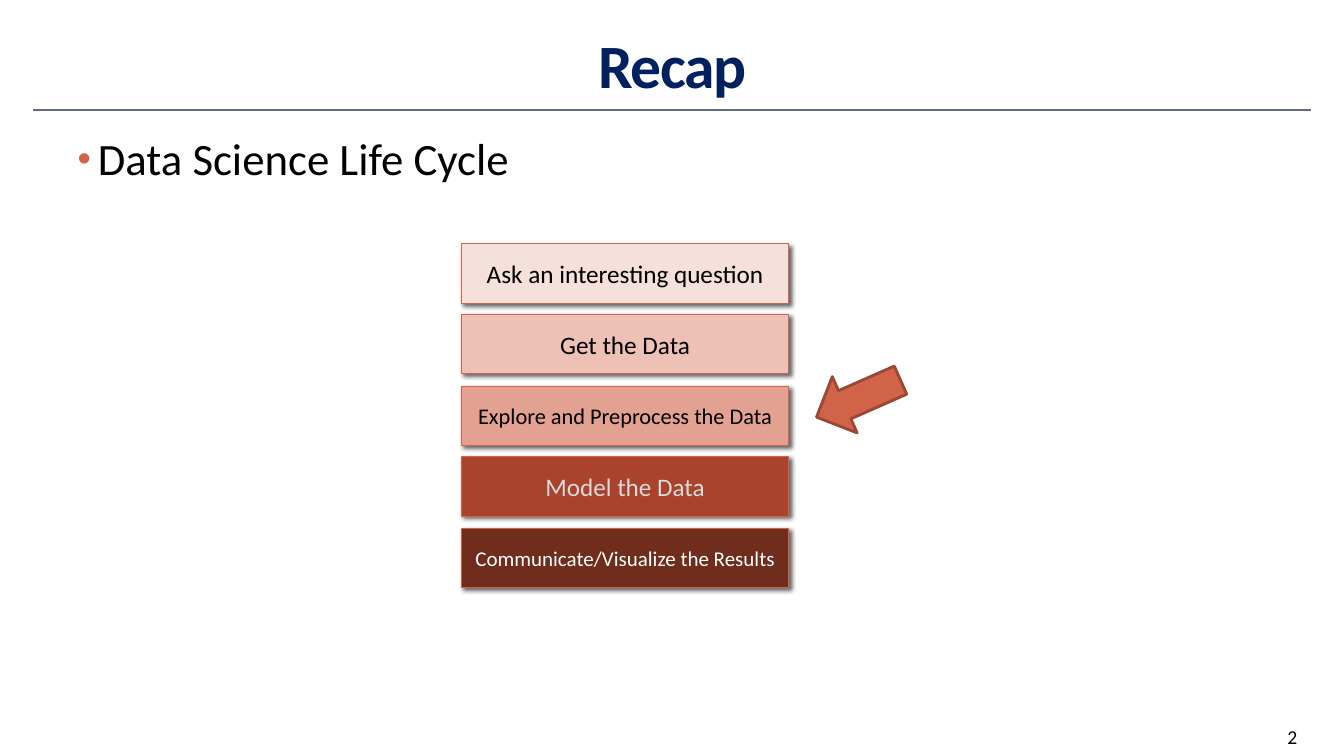
import pptx
import pptx.util
import pptx.dml.color
import pptx.enum.shapes
import pptx.enum.text
import pptx.oxml
import pptx.oxml.ns

PX = 9144
THEME = {
    "font": "Calibri",
    "title": "002060", "text": "000000", "muted": "D9D9D9", "light": "FFFFFF",
    "rule": "646B86", "accent": "D16349", "arrow_edge": "9B4936",
    "title_size": 44, "body_size": 32, "step_size": 18, "number_size": 14,
}
ALIGN = pptx.enum.text.PP_ALIGN
ANCHOR = pptx.enum.text.MSO_ANCHOR
NAMESPACE = pptx.oxml.ns.nsdecls("a")


def rgb(value):
    return pptx.dml.color.RGBColor.from_string(value)


def write(shape, text, size, color, align, anchor, wrap=True, bold=False):
    frame = shape.text_frame
    frame_format = {"auto_size": pptx.enum.text.MSO_AUTO_SIZE.NONE,
                    "word_wrap": wrap, "vertical_anchor": anchor}
    for name, value in frame_format.items():
        setattr(frame, name, value)
    para = frame.paragraphs[0]
    para.alignment = align
    para.space_before = pptx.util.Pt(0)
    span = para.add_run()
    span.text = text
    span_format = {"name": THEME["font"], "size": pptx.util.Pt(size), "bold": bold}
    for name, value in span_format.items():
        setattr(span.font, name, value)
    span.font.color.rgb = rgb(color)
    return para


deck = pptx.Presentation()
deck.slide_width = 1333 * PX
deck.slide_height = 750 * PX
page = deck.slides.add_slide(deck.slide_layouts[1])
title, body = page.placeholders

places = [(title, (67, 17, 1200, 92)), (body, (67, 125, 1200, 583))]
for holder, place in places:
    for name, value in zip(("left", "top", "width", "height"), place):
        setattr(holder, name, value * PX)

heading = write(title, "Recap", THEME["title_size"], THEME["title"],
                ALIGN.CENTER, ANCHOR.MIDDLE, bold=True)
heading.runs[0].font._element.set("spc", "-100")

topic = write(body, "Data Science Life Cycle", THEME["body_size"], THEME["text"],
              ALIGN.LEFT, ANCHOR.TOP)
topic_format = topic._p.get_or_add_pPr()
topic_format.set("marL", str(20 * PX))
topic_format.set("indent", str(-20 * PX))
for bullet in (f'<a:buClr {NAMESPACE}><a:srgbClr val="{THEME["accent"]}"/></a:buClr>',
               f'<a:buSzPct {NAMESPACE} val="85000"/>',
               f'<a:buFont {NAMESPACE} typeface="Arial"/>',
               f'<a:buChar {NAMESPACE} char="•"/>'):
    topic_format.append(pptx.oxml.parse_xml(bullet))

rule = page.shapes.add_connector(pptx.enum.shapes.MSO_CONNECTOR.STRAIGHT,
                                 33 * PX, 109 * PX, 1300 * PX, 109 * PX)
rule.line.color.rgb = rgb(THEME["rule"])
rule.line.width = pptx.util.Pt(1.5)
rule._element.spPr.append(pptx.oxml.parse_xml(f"<a:effectLst {NAMESPACE}/>"))

number = page.shapes.add_textbox(1267 * PX, 714 * PX, 67 * PX, 36 * PX)
write(number, "2", THEME["number_size"], THEME["text"], ALIGN.LEFT, ANCHOR.TOP)

steps = [
    ("Ask an interesting question", "F6E0DB", "text", THEME["step_size"]),
    ("Get the Data", "EDC1B6", "text", THEME["step_size"]),
    ("Explore and Preprocess the Data", "E3A192", "text", 16),
    ("Model the Data", "A9432B", "muted", THEME["step_size"]),
    ("Communicate/Visualize the Results", "712D1C", "light", 15),
]
for index, (label, fill, ink, size) in enumerate(steps):
    top = 242 + index * 141 // 2
    box = page.shapes.add_shape(pptx.enum.shapes.MSO_SHAPE.RECTANGLE,
                                458 * PX, top * PX, 324 * PX, 59 * PX)
    box.fill.solid()
    box.fill.fore_color.rgb = rgb(fill)
    box.line.color.rgb = rgb(THEME["accent"])
    box.line.width = pptx.util.Pt(0.75)
    box._element.spPr.append(pptx.oxml.parse_xml(
        f'<a:effectLst {NAMESPACE}><a:outerShdw blurRad="38100" dist="25400" dir="2700000">'
        '<a:srgbClr val="000000"><a:alpha val="60000"/></a:srgbClr>'
        '</a:outerShdw></a:effectLst>'))
    write(box, label, size, THEME[ink], ALIGN.CENTER, ANCHOR.MIDDLE, wrap=False)

arrow = page.shapes.add_shape(pptx.enum.shapes.MSO_SHAPE.DOWN_ARROW,
                              821 * PX, 350 * PX, 61 * PX, 91 * PX)
arrow.rotation = 66.2
arrow.shadow.inherit = False
arrow.fill.solid()
arrow.fill.fore_color.rgb = rgb(THEME["accent"])
arrow.line.color.rgb = rgb(THEME["arrow_edge"])
arrow.line.width = pptx.util.Pt(2.08)

deck.save("out.pptx")
